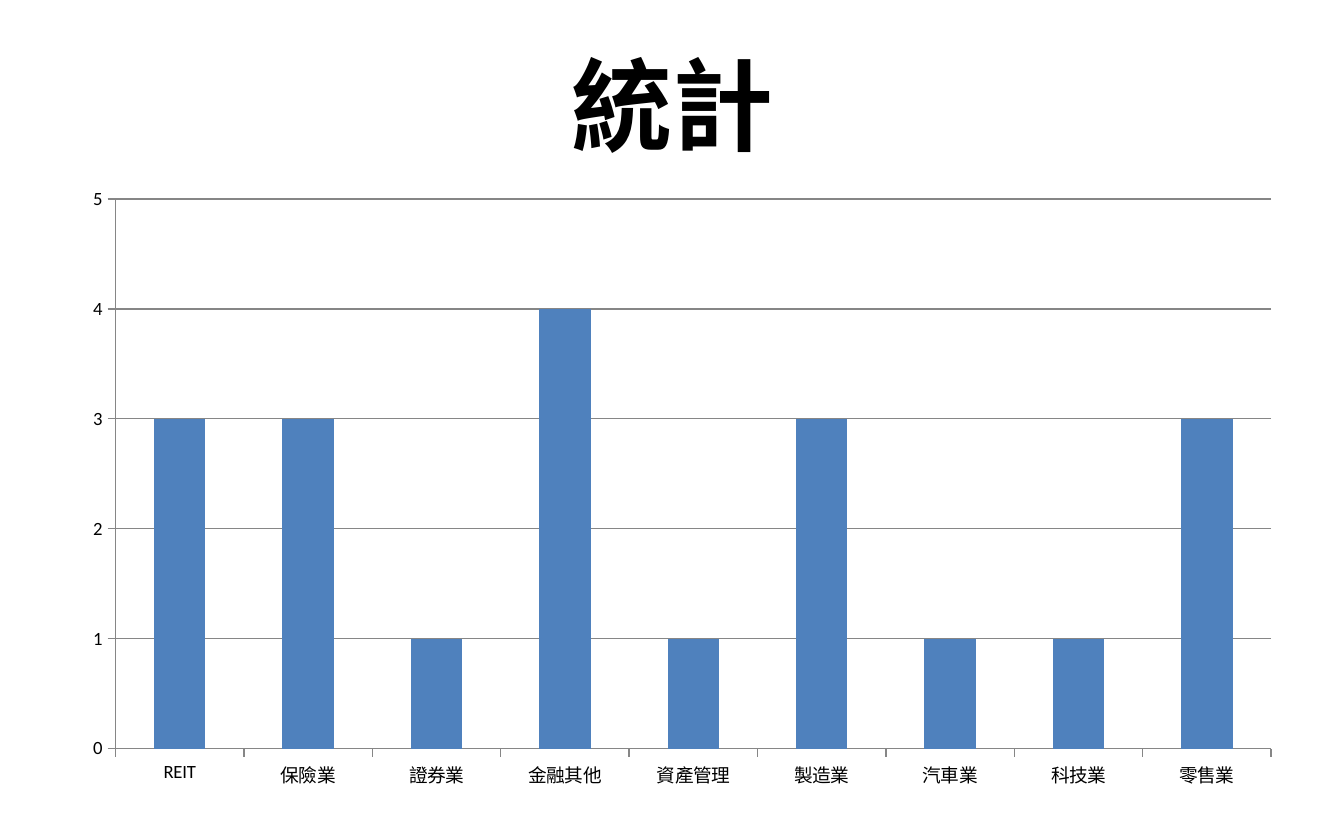
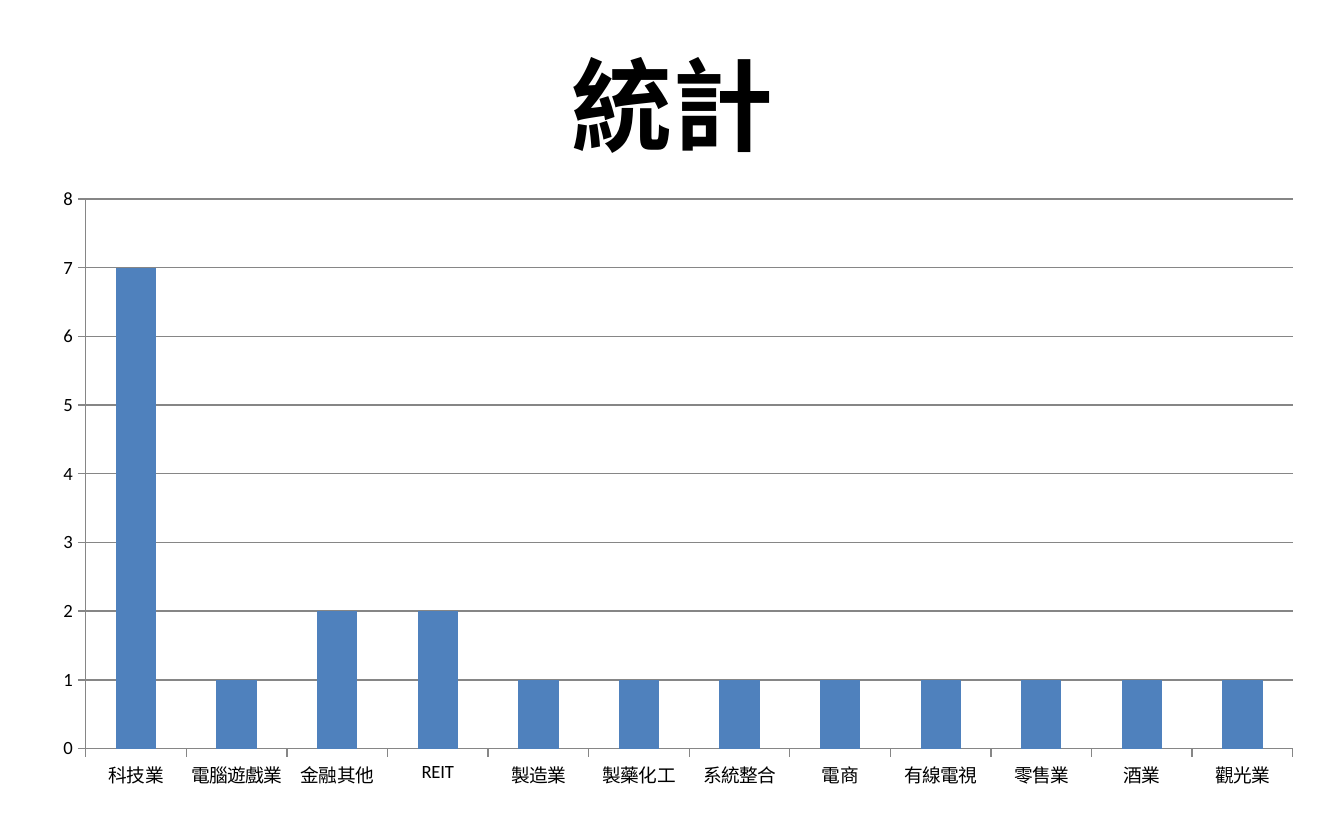
from dataclasses import dataclass

from lxml.etree import SubElement
from pptx import Presentation
from pptx.chart.data import CategoryChartData
from pptx.dml.color import RGBColor
from pptx.enum.chart import XL_CHART_TYPE as ChartType, XL_TICK_MARK as TickMark
from pptx.enum.text import MSO_ANCHOR as Anchor, PP_ALIGN as Align
from pptx.oxml.ns import qn
from pptx.util import Inches, Pt


@dataclass(frozen=True)
class Theme:
    background: RGBColor = RGBColor(0xFF, 0xFF, 0xFF)
    text: RGBColor = RGBColor(0, 0, 0)
    bar: RGBColor = RGBColor(0x4F, 0x81, 0xBD)
    axis: RGBColor = RGBColor(0x86, 0x86, 0x86)
    title_font: str = "Noto Sans CJK SC"
    chart_font: str = "Calibri"
    title_size: int = 54
    chart_size: int = 10
    line_width: float = 0.75


THEME = Theme()
WIDTH, HEIGHT = Inches(10), Inches(6.25)
TITLE_BOX = (0.05, 0.04, 0.9, 0.1664)
CHART_TOP, CHART_HEIGHT = 0.2096, 0.744

STATISTICS = [
    {
        "left": 0.051,
        "width": 0.913,
        "maximum": 5,
        "counts": {
            "REIT": 3, "保險業": 3, "證券業": 1, "金融其他": 4, "資產管理": 1,
            "製造業": 3, "汽車業": 1, "科技業": 1, "零售業": 3,
        },
    },
    {
        "left": 0.028,
        "width": 0.953,
        "maximum": 8,
        "counts": {
            "科技業": 7, "電腦遊戲業": 1, "金融其他": 2, "REIT": 2,
            "製造業": 1, "製藥化工": 1, "系統整合": 1, "電商": 1,
            "有線電視": 1, "零售業": 1, "酒業": 1, "觀光業": 1,
        },
    },
]


def scale_box(left, top, width, height):
    return (round(left * WIDTH), round(top * HEIGHT),
            round(width * WIDTH), round(height * HEIGHT))


def place_title(slide, box, text):
    title = slide.shapes.title
    title.left, title.top, title.width, title.height = scale_box(*box)
    frame = title.text_frame
    frame.text = text
    frame.vertical_anchor = Anchor.MIDDLE
    paragraph = frame.paragraphs[0]
    paragraph.alignment = Align.CENTER
    font = paragraph.runs[0].font
    font.name = THEME.title_font
    font.size = Pt(THEME.title_size)
    font.bold = True
    font.color.rgb = THEME.text
    properties = paragraph.runs[0]._r.get_or_add_rPr()
    SubElement(properties, qn("a:ea")).set("typeface", THEME.title_font)


def style_line(line):
    line.color.rgb = THEME.axis
    line.width = Pt(THEME.line_width)


def place_column_chart(slide, box, counts, maximum):
    data = CategoryChartData()
    data.categories = list(counts)
    data.add_series("Series 1", list(counts.values()))
    chart = slide.shapes.add_chart(
        ChartType.COLUMN_CLUSTERED, *scale_box(*box), data).chart
    chart.has_title = False
    chart.has_legend = False
    chart.font.name = THEME.chart_font
    chart.font.size = Pt(THEME.chart_size)
    chart.font.color.rgb = THEME.text

    plot = chart.plots[0]
    plot.gap_width = 150
    plot.vary_by_categories = False
    fill = plot.series[0].format.fill
    fill.solid()
    fill.fore_color.rgb = THEME.bar

    for axis in (chart.category_axis, chart.value_axis):
        axis.major_tick_mark = TickMark.OUTSIDE
        axis.minor_tick_mark = TickMark.NONE
        style_line(axis.format.line)
    value_axis = chart.value_axis
    value_axis.minimum_scale, value_axis.maximum_scale = 0, maximum
    value_axis.major_unit = 1
    value_axis.has_major_gridlines = True
    style_line(value_axis.major_gridlines.format.line)


def add_statistics_slide(presentation, left, width, maximum, counts):
    slide = presentation.slides.add_slide(presentation.slide_layouts[5])
    slide.background.fill.solid()
    slide.background.fill.fore_color.rgb = THEME.background
    place_title(slide, TITLE_BOX, "統計")
    place_column_chart(
        slide, (left, CHART_TOP, width, CHART_HEIGHT), counts, maximum)


presentation = Presentation()
presentation.slide_width, presentation.slide_height = WIDTH, HEIGHT
for statistics in STATISTICS:
    add_statistics_slide(presentation, **statistics)
presentation.save("out.pptx")
